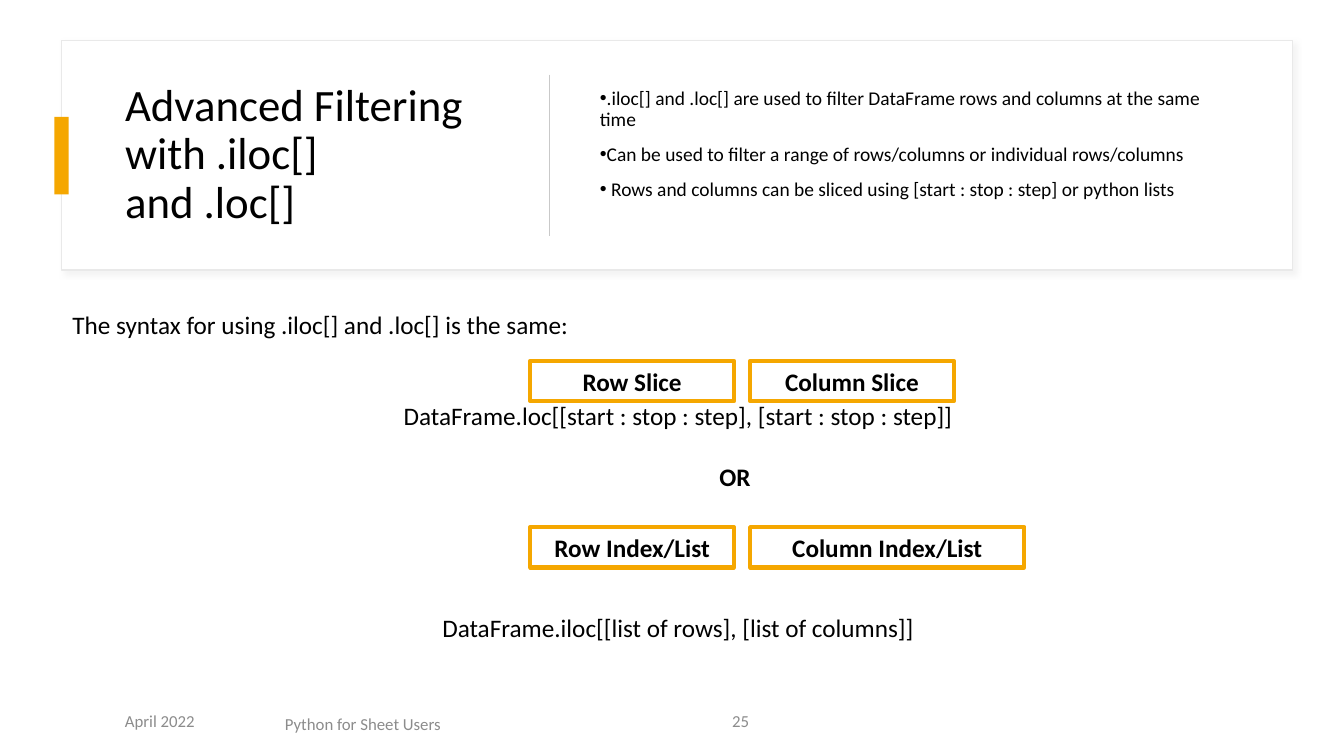
from dataclasses import dataclass

from lxml.etree import SubElement
from pptx import Presentation
from pptx.dml.color import RGBColor
from pptx.enum.shapes import MSO_CONNECTOR, MSO_SHAPE
from pptx.enum.text import MSO_ANCHOR, MSO_AUTO_SIZE, PP_ALIGN
from pptx.oxml.ns import qn
from pptx.shapes.autoshape import Shape
from pptx.slide import Slide
from pptx.text.text import TextFrame, _Paragraph as Paragraph
from pptx.util import Inches, Pt


@dataclass(frozen=True)
class Theme:
    font: str = "Calibri"
    text: str = "000000"
    muted: str = "8C8C8C"
    accent: str = "F5A700"
    paper: str = "FFFFFF"
    border: str = "E9E9E9"
    divider: str = "C9C9C9"
    shadow: str = "D9D9D9"
    title_size: float = 32
    bullet_size: float = 13.9
    syntax_size: float = 18
    footer_size: float = 12


@dataclass(frozen=True)
class Box:
    left: float
    top: float
    width: float
    height: float


@dataclass(frozen=True)
class Label:
    text: str
    box: Box
    align: PP_ALIGN = PP_ALIGN.CENTER


@dataclass(frozen=True)
class SyntaxLine:
    text: str
    lines_above: int = 0
    align: PP_ALIGN = PP_ALIGN.CENTER
    bold: bool = False
    indent: float = 0


THEME = Theme()
LINE_HEIGHT = 21.7  # points, one line of syntax text

TITLE_LINES = ["Advanced Filtering with .iloc[]", "and .loc[]"]
BULLETS = [
    ".iloc[] and .loc[] are used to filter DataFrame rows and columns at the same time",
    "Can be used to filter a range of rows/columns or individual rows/columns",
    " Rows and columns can be sliced using [start : stop : step] or python lists",
]
SYNTAX = [
    SyntaxLine("The syntax for using .iloc[] and .loc[] is the same:", align=PP_ALIGN.LEFT),
    SyntaxLine("DataFrame.loc[[start : stop : step], [start : stop : step]]", 2),
    SyntaxLine("OR", 1, bold=True, indent=1.13),
    SyntaxLine("DataFrame.iloc[[list of rows], [list of columns]]", 4),
]
ROW_LEFT, COLUMN_LEFT = 5.26, 7.44
SLICE_TOP, LIST_TOP = 3.58, 5.23
CALLOUTS = [
    Label("Row Slice", Box(ROW_LEFT, SLICE_TOP, 2.02, 0.4)),
    Label("Column Slice", Box(COLUMN_LEFT, SLICE_TOP, 2.02, 0.4)),
    Label("Row Index/List", Box(ROW_LEFT, LIST_TOP, 2.02, 0.4)),
    Label("Column Index/List", Box(COLUMN_LEFT, LIST_TOP, 2.72, 0.4)),
]
FOOTERS = [
    Label("April 2022", Box(1.14, 6.95, 2.77, 0.4), PP_ALIGN.LEFT),
    Label("Python for Sheet Users", Box(1.35, 6.98, 4.5, 0.4)),
    Label("25", Box(6.13, 6.95, 1.4, 0.4), PP_ALIGN.RIGHT),
]


def place(shape: Shape, box: Box) -> None:
    shape.left, shape.top = Inches(box.left), Inches(box.top)
    shape.width, shape.height = Inches(box.width), Inches(box.height)


def add_run(paragraph: Paragraph, text: str, size: float, color: str = THEME.text,
            bold: bool = False) -> None:
    run = paragraph.add_run()
    run.text = text
    run.font.name = THEME.font
    run.font.size = Pt(size)
    run.font.bold = bold
    run.font.color.rgb = RGBColor.from_string(color)


def next_paragraph(frame: TextFrame, index: int) -> Paragraph:
    return frame.add_paragraph() if index else frame.paragraphs[0]


def prepare_frame(shape: Shape, anchor: MSO_ANCHOR = MSO_ANCHOR.MIDDLE) -> TextFrame:
    frame = shape.text_frame
    frame.word_wrap = True
    frame.auto_size = MSO_AUTO_SIZE.NONE
    frame.vertical_anchor = anchor
    return frame


def add_text_box(slide: Slide, box: Box, anchor: MSO_ANCHOR) -> TextFrame:
    shape = slide.shapes.add_textbox(0, 0, 0, 0)
    place(shape, box)
    return prepare_frame(shape, anchor)


def add_rectangle(slide: Slide, box: Box, fill: str | None = None,
                  line: str | None = None, line_width: float = 1) -> Shape:
    shape = slide.shapes.add_shape(MSO_SHAPE.RECTANGLE, 0, 0, 0, 0)
    place(shape, box)
    shape.shadow.inherit = False
    if fill:
        shape.fill.solid()
        shape.fill.fore_color.rgb = RGBColor.from_string(fill)
    else:
        shape.fill.background()
    if line:
        shape.line.color.rgb = RGBColor.from_string(line)
        shape.line.width = Pt(line_width)
    else:
        shape.line.fill.background()
    return shape


def add_header_card(slide: Slide) -> None:
    card = add_rectangle(slide, Box(0.61, 0.4, 12.21, 2.28), THEME.paper, THEME.border)
    effects = card.element.spPr.find(qn("a:effectLst"))
    shadow = SubElement(effects, qn("a:outerShdw"), blurRad=str(Pt(4)),
                        dist=str(Pt(3)), dir=str(45 * 60000))
    color = SubElement(shadow, qn("a:srgbClr"), val=THEME.shadow)
    SubElement(color, qn("a:alpha"), val="30000")
    # Send the card behind the placeholders
    slide.shapes.element.insert(2, card.element)

    add_rectangle(slide, Box(0.54, 1.16, 0.14, 0.77), THEME.accent)
    divider = slide.shapes.add_connector(
        MSO_CONNECTOR.STRAIGHT, Inches(5.45), Inches(0.74), Inches(5.45), Inches(2.34))
    divider.line.color.rgb = RGBColor.from_string(THEME.divider)
    divider.line.width = Pt(0.75)
    SubElement(divider.element.spPr, qn("a:effectLst"))


def fill_title(slide: Slide) -> None:
    title = slide.shapes.title
    place(title, Box(1.14, 0.7, 3.87, 1.68))
    paragraph = prepare_frame(title).paragraphs[0]
    paragraph.alignment = PP_ALIGN.LEFT
    paragraph.line_spacing = 0.9
    for index, text in enumerate(TITLE_LINES):
        if index:
            paragraph.add_line_break()
        add_run(paragraph, text, THEME.title_size)


def fill_bullets(slide: Slide) -> None:
    body = slide.placeholders[1]
    place(body, Box(5.85, 0.7, 6.56, 1.68))
    frame = prepare_frame(body)
    frame.margin_bottom = Inches(0.26)
    for index, text in enumerate(BULLETS):
        paragraph = next_paragraph(frame, index)
        paragraph.line_spacing = 0.9
        paragraph.space_before = Pt(10)
        properties = paragraph._p.get_or_add_pPr()
        properties.set("marL", "0")
        properties.set("indent", str(Inches(-0.25)))
        SubElement(properties, qn("a:buChar"), char="•")
        add_run(paragraph, text, THEME.bullet_size)


def add_syntax(slide: Slide) -> None:
    frame = add_text_box(slide, Box(0.62, 3.02, 12.21, 3.43), MSO_ANCHOR.TOP)
    for index, line in enumerate(SYNTAX):
        paragraph = next_paragraph(frame, index)
        paragraph.alignment = line.align
        paragraph.space_before = Pt(line.lines_above * LINE_HEIGHT)
        if line.indent:
            paragraph._p.get_or_add_pPr().set("marL", str(Inches(line.indent)))
        add_run(paragraph, line.text, THEME.syntax_size, bold=line.bold)


def add_callout(slide: Slide, label: Label) -> None:
    shape = add_rectangle(slide, label.box, line=THEME.accent, line_width=3)
    paragraph = prepare_frame(shape).paragraphs[0]
    paragraph.alignment = label.align
    add_run(paragraph, label.text, THEME.syntax_size, bold=True)


def add_footer(slide: Slide, label: Label) -> None:
    paragraph = add_text_box(slide, label.box, MSO_ANCHOR.MIDDLE).paragraphs[0]
    paragraph.alignment = label.align
    paragraph.space_after = Pt(6)
    add_run(paragraph, label.text, THEME.footer_size, THEME.muted)


def main() -> None:
    presentation = Presentation()
    presentation.slide_width, presentation.slide_height = Inches(13.33), Inches(7.5)
    slide = presentation.slides.add_slide(presentation.slide_layouts[1])
    add_header_card(slide)
    fill_title(slide)
    fill_bullets(slide)
    add_syntax(slide)
    for label in CALLOUTS:
        add_callout(slide, label)
    for label in FOOTERS:
        add_footer(slide, label)
    presentation.save("out.pptx")


if __name__ == "__main__":
    main()
